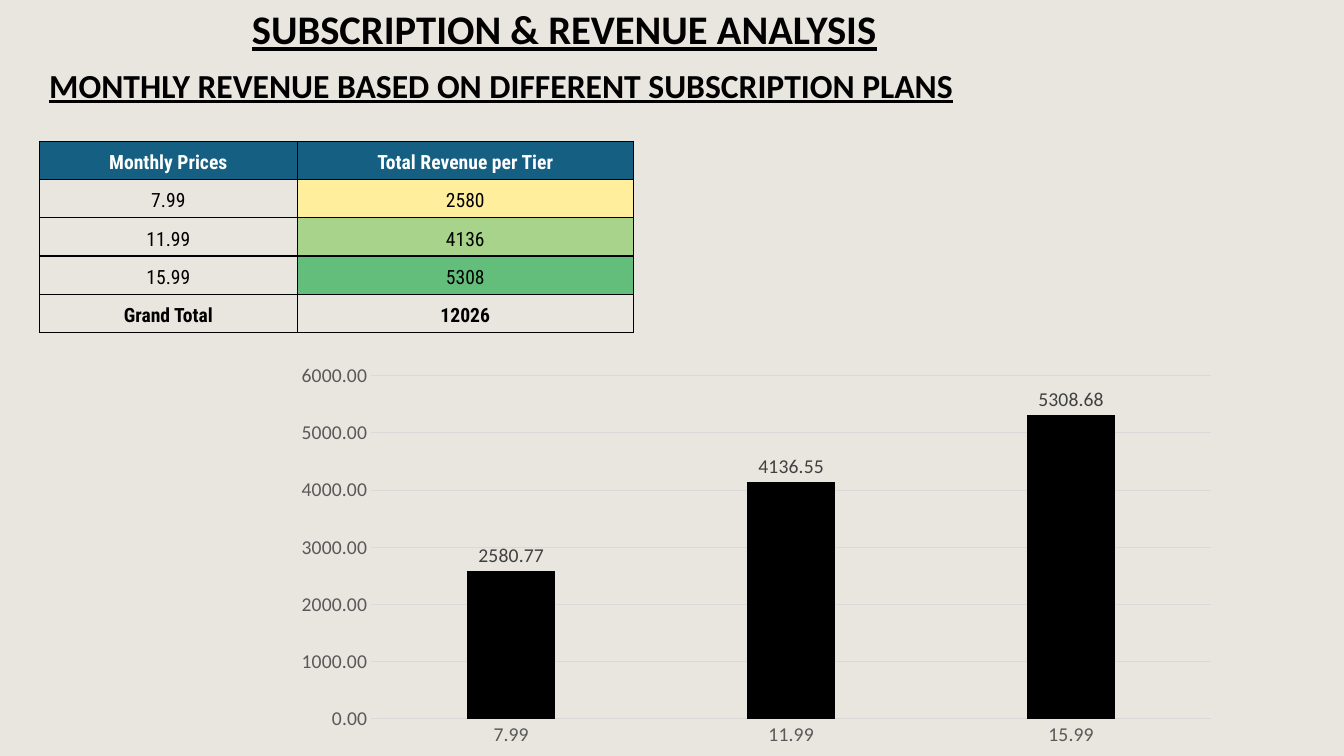
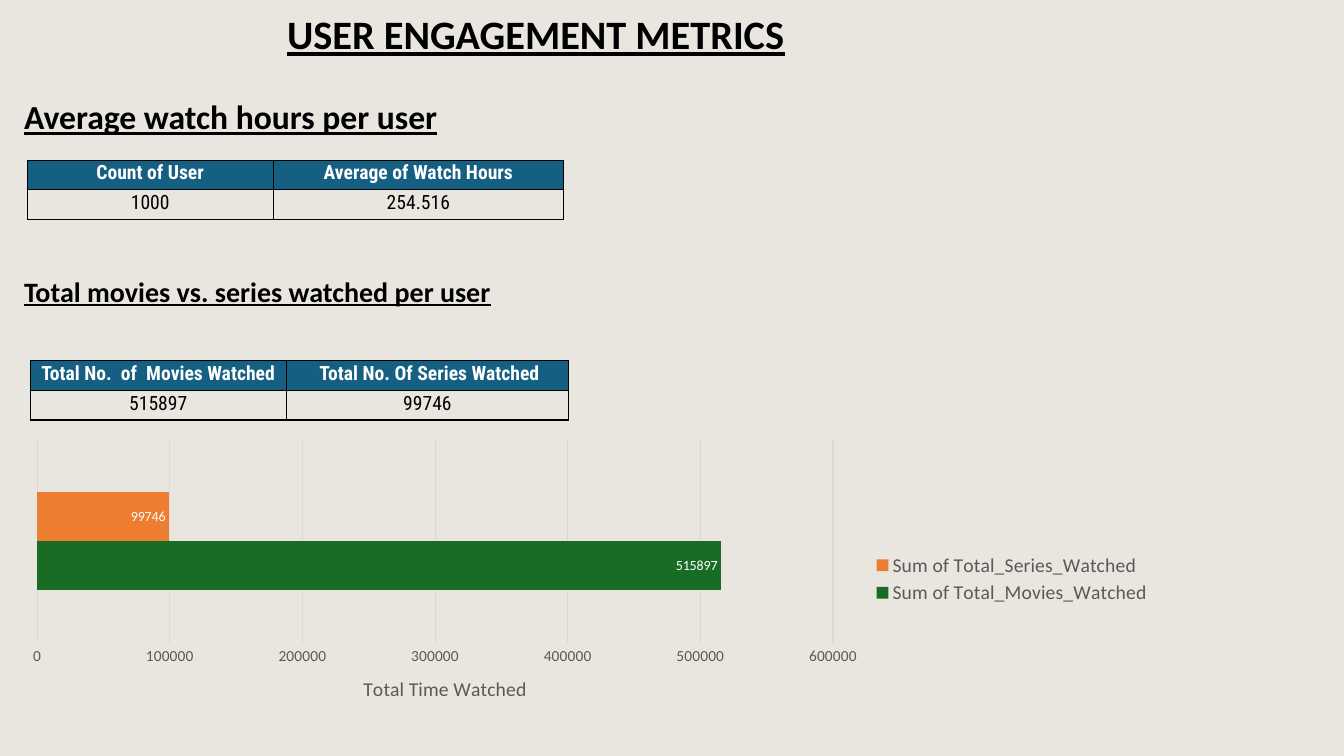
"""Build two slides on subscription revenue and user engagement."""
from dataclasses import dataclass
from typing import Optional

from lxml.etree import SubElement
from pptx import Presentation
from pptx.chart.chart import Chart
from pptx.chart.data import CategoryChartData
from pptx.dml.color import RGBColor
from pptx.enum.chart import XL_CHART_TYPE, XL_LABEL_POSITION, XL_LEGEND_POSITION, XL_TICK_MARK
from pptx.enum.text import MSO_ANCHOR, PP_ALIGN
from pptx.oxml.ns import qn
from pptx.oxml.xmlchemy import BaseOxmlElement
from pptx.slide import Slide
from pptx.table import _Cell
from pptx.text.text import Font
from pptx.util import Inches, Pt

COLORS = {
    "background": "E9E6DF",
    "ink": "000000",
    "white": "FFFFFF",
    "header": "145F82",
    "low": "FFEF9C",
    "middle": "A7D48A",
    "high": "63BE7B",
    "axis": "595959",
    "label": "404040",
    "grid": "D9D9D9",
    "movies": "186C24",
    "series": "ED7D31",
}
TEXT_FONT = "Calibri"
TABLE_FONT = "Roboto Condensed"


@dataclass(frozen=True)
class Box:
    """A rectangle, in inches on a slide or in fractions of a chart."""

    left: float
    top: float
    width: float
    height: float

    def lengths(self) -> tuple[Inches, Inches, Inches, Inches]:
        """Return the rectangle as slide lengths."""
        return Inches(self.left), Inches(self.top), Inches(self.width), Inches(self.height)


@dataclass(frozen=True)
class Heading:
    """A bold underlined line of text."""

    text: str
    box: Box
    size: float
    anchor: MSO_ANCHOR = MSO_ANCHOR.TOP
    line_spacing: float = 1.0


@dataclass(frozen=True)
class TableSpec:
    """A table whose first row is the header."""

    left: float
    top: float
    column_widths: tuple[float, ...]
    row_height: float
    rows: tuple[tuple[str, ...], ...]
    last_column_fills: tuple[str, ...] = ()
    has_total: bool = False


@dataclass(frozen=True)
class Series:
    """A named chart series with its colour key."""

    name: str
    values: tuple[float, ...]
    color: str


@dataclass(frozen=True)
class ChartSpec:
    """A clustered chart with labelled bars."""

    kind: XL_CHART_TYPE
    box: Box
    plot: Box
    categories: tuple[str, ...]
    series: tuple[Series, ...]
    overlap: int
    maximum: float
    step: float
    number_format: str
    axis_size: float
    label_size: float
    label_color: str
    label_position: XL_LABEL_POSITION
    axis_title: Optional[str] = None
    legend: Optional[Box] = None


def rgb(key: str) -> RGBColor:
    """Look up a colour by its key."""
    return RGBColor.from_string(COLORS[key])


def style_font(font: Font, size: float, color: str, name: str = TEXT_FONT, bold: bool = False) -> None:
    """Set the face, size, colour and weight of a font."""
    font.name, font.size, font.bold = name, Pt(size), bold
    font.color.rgb = rgb(color)


def add_heading(slide: Slide, heading: Heading) -> None:
    """Draw a heading."""
    frame = slide.shapes.add_textbox(*heading.box.lengths()).text_frame
    frame.word_wrap = True
    frame.vertical_anchor = heading.anchor
    paragraph = frame.paragraphs[0]
    paragraph.text = heading.text
    paragraph.line_spacing = heading.line_spacing
    style_font(paragraph.font, heading.size, "ink", bold=True)
    paragraph.font.underline = True


def add_borders(cell: _Cell) -> None:
    """Draw a thin dark line on each side of a cell."""
    properties = cell._tc.get_or_add_tcPr()
    for index, side in enumerate(("lnL", "lnR", "lnT", "lnB")):
        line = SubElement(properties, qn(f"a:{side}"), w=str(Pt(1)))
        fill = SubElement(line, qn("a:solidFill"))
        SubElement(fill, qn("a:srgbClr"), val=COLORS["ink"])
        properties.insert(index, line)


def fill_cell(cell: _Cell, text: str, fill: Optional[str], color: str, bold: bool) -> None:
    """Write and style one table cell."""
    cell.margin_left = cell.margin_right = cell.margin_top = Inches(0.01)
    cell.margin_bottom = Inches(0.05)
    cell.vertical_anchor = MSO_ANCHOR.BOTTOM
    paragraph = cell.text_frame.paragraphs[0]
    paragraph.text = text
    paragraph.alignment = PP_ALIGN.CENTER
    style_font(paragraph.font, 14, color, TABLE_FONT, bold)
    if fill:
        cell.fill.solid()
        cell.fill.fore_color.rgb = rgb(fill)
    else:
        cell.fill.background()
    add_borders(cell)


def add_data_table(slide: Slide, spec: TableSpec) -> None:
    """Draw a table with a coloured header row."""
    row_count, column_count = len(spec.rows), len(spec.column_widths)
    box = Box(spec.left, spec.top, sum(spec.column_widths), spec.row_height * row_count)
    table = slide.shapes.add_table(row_count, column_count, *box.lengths()).table
    table.first_row = table.horz_banding = False
    for column, width in zip(table.columns, spec.column_widths):
        column.width = Inches(width)
    for row_index, texts in enumerate(spec.rows):
        table.rows[row_index].height = Inches(spec.row_height)
        is_header = row_index == 0
        is_total = spec.has_total and row_index == row_count - 1
        for column_index, text in enumerate(texts):
            fill = "header" if is_header else None
            is_last = column_index == column_count - 1
            if is_last and 1 <= row_index <= len(spec.last_column_fills):
                fill = spec.last_column_fills[row_index - 1]
            color = "white" if is_header else "ink"
            fill_cell(table.cell(row_index, column_index), text, fill, color, is_header or is_total)


def place(parent: BaseOxmlElement, index: int, box: Box, inner: bool = False) -> None:
    """Give a chart part a fixed place within its chart."""
    for old_layout in parent.findall(qn("c:layout")):
        parent.remove(old_layout)
    layout = SubElement(parent, qn("c:layout"))
    manual = SubElement(layout, qn("c:manualLayout"))
    settings = [("layoutTarget", "inner")] if inner else []
    settings += [("xMode", "edge"), ("yMode", "edge")]
    settings += [("x", box.left), ("y", box.top), ("w", box.width), ("h", box.height)]
    for tag, value in settings:
        SubElement(manual, qn(f"c:{tag}"), val=str(value))
    parent.insert(index, layout)


def style_axes(chart: Chart, spec: ChartSpec) -> None:
    """Style the category and value axes."""
    category_axis, value_axis = chart.category_axis, chart.value_axis
    for axis in (category_axis, value_axis):
        axis.major_tick_mark = axis.minor_tick_mark = XL_TICK_MARK.NONE
        style_font(axis.tick_labels.font, spec.axis_size, "axis")
    category_axis.format.line.color.rgb = rgb("grid")
    category_axis.format.line.width = Pt(0.75)
    category_axis.visible = len(spec.categories) > 1
    value_axis.minimum_scale, value_axis.maximum_scale = 0, spec.maximum
    value_axis.major_unit = spec.step
    value_axis.tick_labels.number_format = spec.number_format
    value_axis.tick_labels.number_format_is_linked = False
    value_axis.format.line.fill.background()
    value_axis.major_gridlines.format.line.color.rgb = rgb("grid")
    value_axis.major_gridlines.format.line.width = Pt(0.75)
    if spec.axis_title:
        paragraph = value_axis.axis_title.text_frame.paragraphs[0]
        paragraph.text = spec.axis_title
        style_font(paragraph.font, 14, "axis")


def add_bar_chart(slide: Slide, spec: ChartSpec) -> None:
    """Draw a clustered bar or column chart."""
    data = CategoryChartData(number_format=spec.number_format)
    data.categories = spec.categories
    for series in spec.series:
        data.add_series(series.name, series.values)
    chart = slide.shapes.add_chart(spec.kind, *spec.box.lengths(), data).chart
    style_font(chart.font, 10, "ink")
    chart.has_title = False
    style_axes(chart, spec)
    plot = chart.plots[0]
    plot.gap_width, plot.overlap, plot.vary_by_categories = 219, spec.overlap, False
    for drawn, series in zip(plot.series, spec.series):
        drawn.format.fill.solid()
        drawn.format.fill.fore_color.rgb = rgb(series.color)
        labels = drawn.data_labels
        labels.show_value = True
        labels.number_format, labels.number_format_is_linked = spec.number_format, False
        labels.position = spec.label_position
        style_font(labels.font, spec.label_size, spec.label_color)
    place(chart._chartSpace.chart.plotArea, 0, spec.plot, inner=True)
    chart.has_legend = spec.legend is not None
    if spec.legend:
        chart.legend.position = XL_LEGEND_POSITION.RIGHT
        chart.legend.include_in_layout = False
        style_font(chart.legend.font, 14, "axis")
        place(chart.legend._element, 1, spec.legend)


def build_revenue(slide: Slide) -> None:
    """Fill the revenue slide."""
    add_heading(slide, Heading("MONTHLY REVENUE BASED ON DIFFERENT SUBSCRIPTION PLANS",
                               Box(0.39, 0.57, 9.77, 0.59), 24, MSO_ANCHOR.MIDDLE, 0.9))
    add_heading(slide, Heading("SUBSCRIPTION & REVENUE ANALYSIS", Box(2.4, -0.01, 7.78, 0.59), 29))
    add_data_table(slide, TableSpec(
        0.39, 1.4, (2.56, 3.33), 0.38,
        (("Monthly Prices", "Total Revenue per Tier"), ("7.99", "2580"), ("11.99", "4136"),
         ("15.99", "5308"), ("Grand Total", "12026")),
        ("low", "middle", "high"), has_total=True))
    add_bar_chart(slide, ChartSpec(
        XL_CHART_TYPE.COLUMN_CLUSTERED, Box(2.84, 3.53, 9.36, 3.96), Box(0.09, 0.05, 0.89, 0.86),
        ("7.99", "11.99", "15.99"), (Series("Series 1", (2580.77, 4136.55, 5308.68), "ink"),),
        -27, 6000, 1000, "0.00", 14, 14, "label", XL_LABEL_POSITION.OUTSIDE_END))


def build_engagement(slide: Slide) -> None:
    """Fill the engagement slide."""
    add_heading(slide, Heading("Average watch hours per user", Box(0.14, 0.95, 4.69, 0.59), 24, line_spacing=0.9))
    add_heading(slide, Heading("USER ENGAGEMENT METRICS", Box(2.75, 0.16, 5.67, 0.41), 28.8,
                               MSO_ANCHOR.MIDDLE, 0.9))
    add_data_table(slide, TableSpec(
        0.3, 3.58, (2.54, 2.8), 0.29,
        (("Total No.  of  Movies Watched", " Total No. Of Series Watched"), ("515897", "99746"))))
    add_data_table(slide, TableSpec(
        0.27, 1.59, (2.44, 2.88), 0.29,
        (("Count of User", "Average of Watch Hours"), ("1000", "254.516"))))
    add_heading(slide, Heading("Total movies vs. series watched per user", Box(0.14, 2.67, 5.69, 0.44), 20))
    add_bar_chart(slide, ChartSpec(
        XL_CHART_TYPE.BAR_CLUSTERED, Box(0.14, 4.3, 11.44, 2.89), Box(0.02, 0.02, 0.69, 0.7), ("1",),
        (Series("Sum of Total_Movies_Watched", (515897,), "movies"),
         Series("Sum of Total_Series_Watched", (99746,), "series")),
        0, 600000, 100000, "General", 11, 10, "white", XL_LABEL_POSITION.INSIDE_END,
        "Total Time Watched", Box(0.74, 0.4, 0.25, 0.2)))


def main() -> None:
    """Build and save the presentation."""
    presentation = Presentation()
    presentation.slide_width, presentation.slide_height = Inches(13.33), Inches(7.5)
    background = presentation.slide_master.background.fill
    background.solid()
    background.fore_color.rgb = rgb("background")
    for build in (build_revenue, build_engagement):
        build(presentation.slides.add_slide(presentation.slide_layouts[6]))
    presentation.save("out.pptx")


if __name__ == "__main__":
    main()
